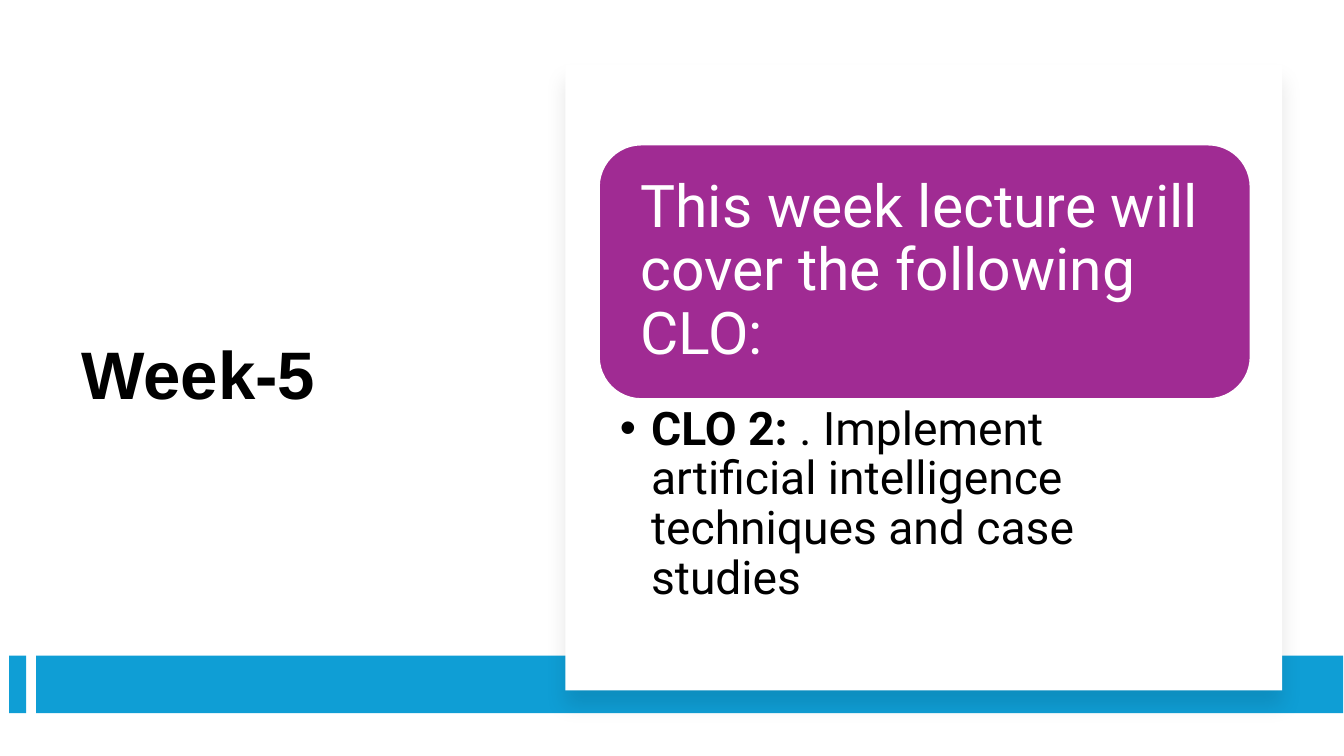
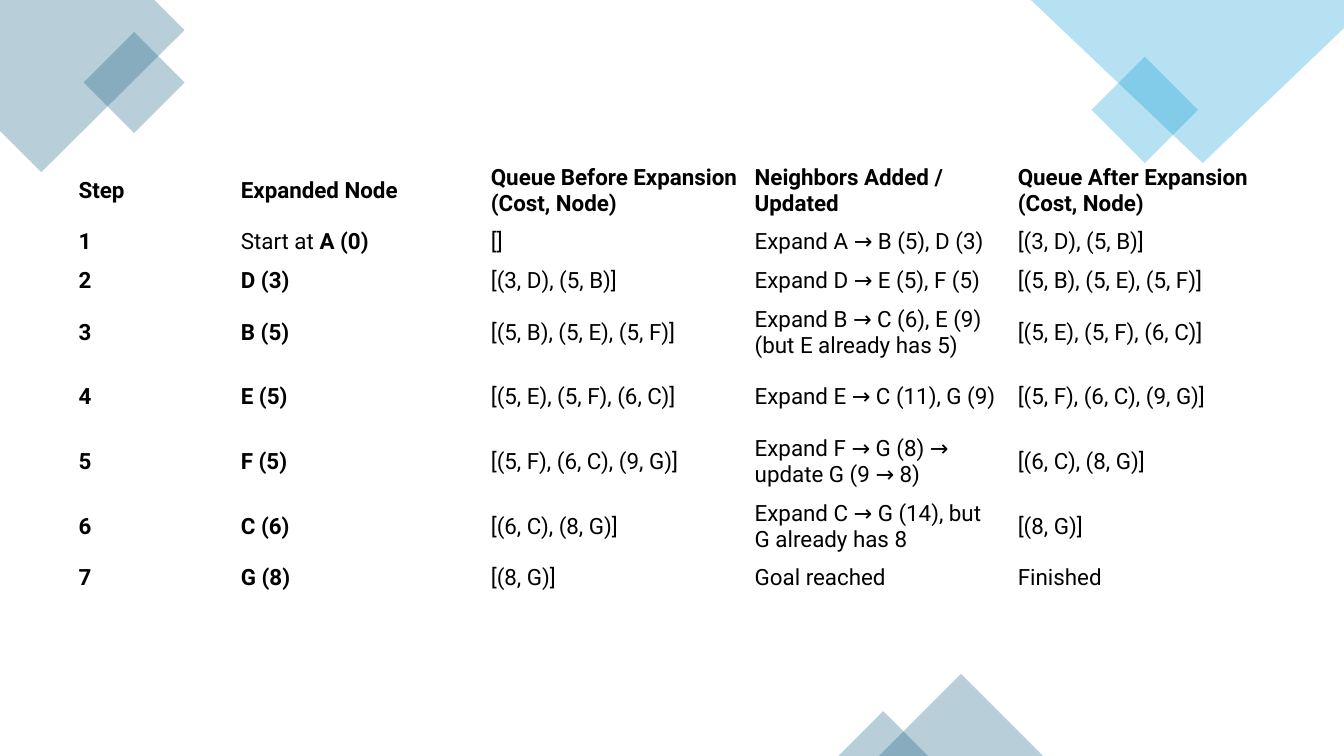
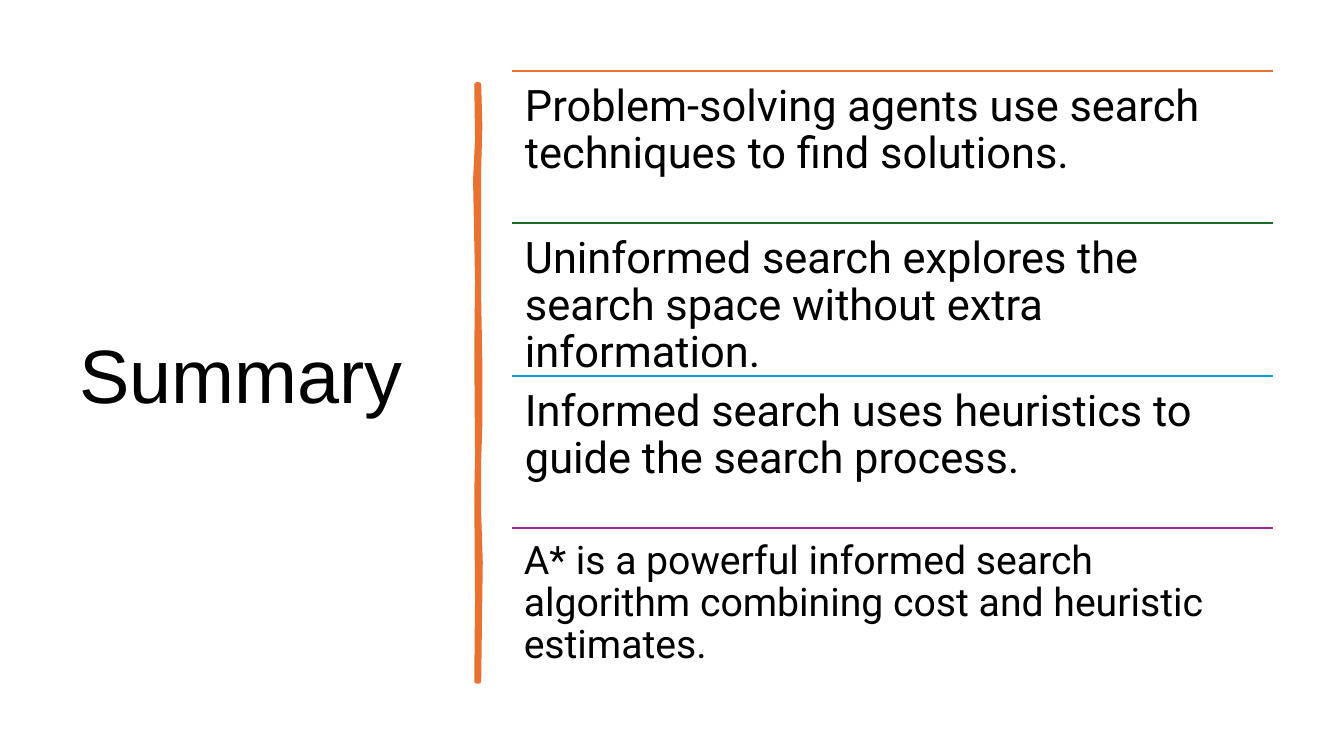
from collections import namedtuple

from lxml.etree import SubElement
from pptx import Presentation
from pptx.dml.color import RGBColor
from pptx.enum.shapes import MSO_CONNECTOR, MSO_SHAPE
from pptx.enum.text import MSO_ANCHOR, MSO_AUTO_SIZE, PP_ALIGN
from pptx.oxml.ns import qn
from pptx.util import Cm, Pt

BLACK = RGBColor(0x00, 0x00, 0x00)
WHITE = RGBColor(0xFF, 0xFF, 0xFF)
BLUE = RGBColor(0x0F, 0x9E, 0xD5)
TEAL = RGBColor(0x15, 0x60, 0x82)
PURPLE = RGBColor(0xA0, 0x2B, 0x93)
ORANGE = RGBColor(0xE9, 0x71, 0x32)
GREEN = RGBColor(0x19, 0x6B, 0x24)
TITLE_FONT = "Arial"
BODY_FONT = "Roboto"
TITLE_ONLY, BLANK = 5, 6
NO_GRID_STYLE = "{2D5ABB26-0587-4C30-8999-92F81FD0307C}"

Box = namedtuple("Box", "left top width height")

HEADERS = (
    "Step",
    "Expanded Node",
    "Queue Before Expansion (Cost, Node)",
    "Neighbors Added / Updated",
    "Queue After Expansion (Cost, Node)",
)
COLUMN_WIDTHS = (4.09, 6.3, 6.65, 6.63, 6.65)
ROW_HEIGHTS = (1.63, 0.97, 0.97, 1.63, 1.63, 1.63, 1.63, 0.97)
EXPANSIONS = (
    ("A (0)", "Expand A → B (5), D (3)", "[(3, D), (5, B)]"),
    ("D (3)", "Expand D → E (5), F (5)", "[(5, B), (5, E), (5, F)]"),
    ("B (5)", "Expand B → C (6), E (9) (but E already has 5)", "[(5, E), (5, F), (6, C)]"),
    ("E (5)", "Expand E → C (11), G (9)", "[(5, F), (6, C), (9, G)]"),
    ("F (5)", "Expand F → G (8) → update G (9 → 8)", "[(6, C), (8, G)]"),
    ("C (6)", "Expand C → G (14), but G already has 8", "[(8, G)]"),
    ("G (8)", "Goal reached", "Finished"),
)
SUMMARY = (
    (ORANGE, 31, "Problem-solving agents use search techniques to find solutions."),
    (GREEN, 31, "Uninformed search explores the search space without extra information."),
    (BLUE, 31, "Informed search uses heuristics to guide the search process."),
    (PURPLE, 28, "A* is a powerful informed search algorithm combining cost and heuristic estimates."),
)
BRUSH_RIGHT = ((0.06, 0), (0.09, 0.07), (0.06, 0.14), (0.06, 0.36), (0.09, 0.47),
               (0.09, 0.57), (0.06, 0.63), (0.06, 0.72), (0.1, 0.8), (0.06, 1))
BRUSH_LEFT = ((0, 1), (0.02, 0.86), (0, 0.69), (0.02, 0.62), (0, 0.45),
              (0.02, 0.33), (-0.03, 0.16), (0.02, 0.09), (0, 0))


def lengths(box):
    return [Cm(value) for value in box]


def set_font(font, name, size, color, bold=False):
    font.name = name
    font.size = Pt(size)
    font.color.rgb = color
    font.bold = bold


def set_frame(frame, insets, anchor=MSO_ANCHOR.TOP):
    frame.word_wrap = True
    frame.auto_size = MSO_AUTO_SIZE.NONE
    frame.vertical_anchor = anchor
    frame.margin_left, frame.margin_top, frame.margin_right, frame.margin_bottom = lengths(insets)


def write(paragraph, text, size, color=BLACK, bold=False, lead="", lead_bold=False):
    paragraph.alignment = PP_ALIGN.LEFT
    set_font(paragraph.font, BODY_FONT, size, color, bold)
    if lead:
        lead_run = paragraph.add_run()
        lead_run.text = lead
        lead_run.font.bold = lead_bold
    run = paragraph.add_run()
    run.text = text
    if lead:
        run.font.bold = bold


def set_title(slide, box, text, size, bold=False):
    title = slide.shapes.title
    title.left, title.top, title.width, title.height = lengths(box)
    set_frame(title.text_frame, (0.25, 0.13, 0.25, 0.13), MSO_ANCHOR.MIDDLE)
    title.text_frame.text = text
    paragraph = title.text_frame.paragraphs[0]
    paragraph.alignment = PP_ALIGN.LEFT
    paragraph.line_spacing = 0.9
    set_font(paragraph.font, TITLE_FONT, size, BLACK, bold)


def paint(shape, color, opacity=100):
    shape.shadow.inherit = False
    shape.fill.solid()
    shape.fill.fore_color.rgb = color
    shape.line.fill.background()
    if opacity < 100:
        color_element = shape.fill._xPr.find(qn("a:solidFill"))[0]
        SubElement(color_element, qn("a:alpha"), val=str(opacity * 1000))


def add_block(slide, kind, box, color, opacity=100, rotation=0):
    shape = slide.shapes.add_shape(kind, *lengths(box))
    shape.rotation = rotation
    paint(shape, color, opacity)
    return shape


def add_outline(slide, points, color, opacity=100):
    corners = [(Cm(x), Cm(y)) for x, y in points]
    builder = slide.shapes.build_freeform(*corners[0])
    builder.add_line_segments(corners[1:], close=True)
    shape = builder.convert_to_shape()
    paint(shape, color, opacity)
    return shape


def add_drop_shadow(shape):
    effects = shape._element.spPr.find(qn("a:effectLst"))
    shadow = SubElement(effects, qn("a:outerShdw"), blurRad=str(Pt(15)), dist=str(Pt(11)),
                        dir="5400000", algn="t", rotWithShape="0")
    color = SubElement(shadow, qn("a:srgbClr"), val="000000")
    SubElement(color, qn("a:alpha"), val="10000")


def add_bottom_band(slide, box):
    tab, gap = 0.43, 0.25
    add_block(slide, MSO_SHAPE.RECTANGLE, box._replace(width=tab), BLUE)
    band = Box(box.left + tab + gap, box.top, box.width - tab - gap, box.height)
    add_block(slide, MSO_SHAPE.RECTANGLE, band, BLUE)


def add_outcome_panel(slide, box):
    panel = add_block(slide, MSO_SHAPE.RECTANGLE, box, WHITE)
    add_drop_shadow(panel)

    heading_box = Box(box.left + 0.84, box.top + 2.01, box.width - 1.63, 6.42)
    heading = add_block(slide, MSO_SHAPE.ROUNDED_RECTANGLE, heading_box, PURPLE)
    heading.line.color.rgb = WHITE
    heading.line.width = Pt(1.5)
    set_frame(heading.text_frame, (0.74, 0.74, 0.74, 0.74), MSO_ANCHOR.MIDDLE)
    paragraph = heading.text_frame.paragraphs[0]
    paragraph.line_spacing = 0.9
    write(paragraph, "This week lecture will cover the following CLO:", 42, WHITE)

    outcome_box = heading_box._replace(top=heading_box.top + heading_box.height, height=5.8)
    outcome = slide.shapes.add_textbox(*lengths(outcome_box))
    set_frame(outcome.text_frame, (0.53, 0.15, 0.84, 0.15))
    paragraph = outcome.text_frame.paragraphs[0]
    paragraph.line_spacing = 0.9
    properties = paragraph._p.get_or_add_pPr()
    properties.set("marL", str(Cm(0.79)))
    properties.set("indent", str(Cm(-0.79)))
    SubElement(properties, qn("a:buFont"), typeface="Arial")
    SubElement(properties, qn("a:buChar"), char="•")
    write(paragraph, ". Implement artificial intelligence techniques and case studies", 33,
          lead="CLO 2: ", lead_bold=True)


def add_corner_shapes(slide, box):
    right = box.left + box.width
    bottom = box.top + box.height
    left_corner = ((3.89, 0), (0, 0), (0, 3.3), (1.04, 4.34), (4.65, 0.76))
    right_corner = ((0, 0), (-7.89, 0), (-3.56, 4.11), (0, 0.71))
    add_outline(slide, [(box.left + x, box.top + y) for x, y in left_corner], TEAL, 30)
    add_block(slide, MSO_SHAPE.RECTANGLE, Box(box.left + 2.48, box.top + 1.18, 1.8, 1.8), TEAL, 30, 45)
    add_block(slide, MSO_SHAPE.RECTANGLE, Box(right - 5.97, box.top + 1.82, 1.9, 1.9), BLUE, 30, 45)
    add_outline(slide, [(right + x, box.top + y) for x, y in right_corner], BLUE, 30)
    for left, width in ((22.15, 4.14), (21.13, 2.26)):
        triangle = Box(box.left + left, bottom - width / 2, width, width / 2)
        add_block(slide, MSO_SHAPE.ISOSCELES_TRIANGLE, triangle, TEAL, 30)


def add_search_table(slide, box):
    rows = [HEADERS]
    queue = "[]"
    for step, (node, neighbors, queue_after) in enumerate(EXPANSIONS, 1):
        rows.append((str(step), node, queue, neighbors, queue_after))
        queue = queue_after

    table = slide.shapes.add_table(len(rows), len(HEADERS), *lengths(box)).table
    table.first_row = table.horz_banding = False
    table._tbl.tblPr.find(qn("a:tableStyleId")).text = NO_GRID_STYLE
    for column, width in zip(table.columns, COLUMN_WIDTHS):
        column.width = Cm(width)
    for row, height in zip(table.rows, ROW_HEIGHTS):
        row.height = Cm(height)
    for row_index, row in enumerate(rows):
        for column_index, text in enumerate(row):
            cell = table.cell(row_index, column_index)
            cell.fill.background()
            cell.vertical_anchor = MSO_ANCHOR.MIDDLE
            cell.margin_left = cell.margin_right = Cm(0.2)
            cell.margin_top = cell.margin_bottom = Cm(0.1)
            lead = "Start at " if (row_index, column_index) == (1, 1) else ""
            bold = row_index == 0 or column_index < 2
            write(cell.text_frame.paragraphs[0], text, 16, bold=bold, lead=lead)


def add_brush_stroke(slide, box):
    points = [(box.left + x, box.top + share * box.height) for x, share in BRUSH_RIGHT + BRUSH_LEFT]
    stroke = add_outline(slide, points, ORANGE)
    stroke.line.color.rgb = ORANGE
    stroke.line.width = Pt(3.25)


def add_summary_list(slide, box):
    height = box.height / len(SUMMARY)
    for index, (color, size, text) in enumerate(SUMMARY):
        item = Box(box.left, box.top + index * height, box.width, height)
        left, top, width, _ = lengths(item)
        rule = slide.shapes.add_connector(MSO_CONNECTOR.STRAIGHT, left, top, left + width, top)
        rule.line.color.rgb = color
        rule.line.width = Pt(1.5)
        SubElement(rule._element.spPr, qn("a:effectLst"))
        inset = 0.33 if size > 30 else 0.3
        text_box = slide.shapes.add_textbox(*lengths(item))
        set_frame(text_box.text_frame, (inset,) * 4)
        paragraph = text_box.text_frame.paragraphs[0]
        paragraph.line_spacing = 0.9
        write(paragraph, text, size)


def add_slide(presentation, layout):
    return presentation.slides.add_slide(presentation.slide_layouts[layout])


def build_week_slide(presentation):
    slide = add_slide(presentation, TITLE_ONLY)
    set_title(slide, Box(1.8, 3.05, 10.54, 12.95), "Week-5", 48, bold=True)
    add_bottom_band(slide, Box(0.23, 16.52, 33.62, 1.45))
    add_outcome_panel(slide, Box(14.25, 1.63, 18.06, 15.77))


def build_search_slide(presentation):
    slide = add_slide(presentation, BLANK)
    add_corner_shapes(slide, Box(0, 0, 33.87, 19.05))
    add_search_table(slide, Box(1.78, 3.99, sum(COLUMN_WIDTHS), sum(ROW_HEIGHTS)))


def build_summary_slide(presentation):
    slide = add_slide(presentation, TITLE_ONLY)
    set_title(slide, Box(1.75, 1.78, 9.5, 15.52), "Summary", 54)
    add_brush_stroke(slide, Box(12.01, 2.13, 0.06, 15.04))
    add_summary_list(slide, Box(12.9, 1.78, 19.18, 15.38))


def main():
    presentation = Presentation()
    presentation.slide_width = Cm(33.87)
    presentation.slide_height = Cm(19.05)
    build_week_slide(presentation)
    build_search_slide(presentation)
    build_summary_slide(presentation)
    presentation.save("out.pptx")


if __name__ == "__main__":
    main()
